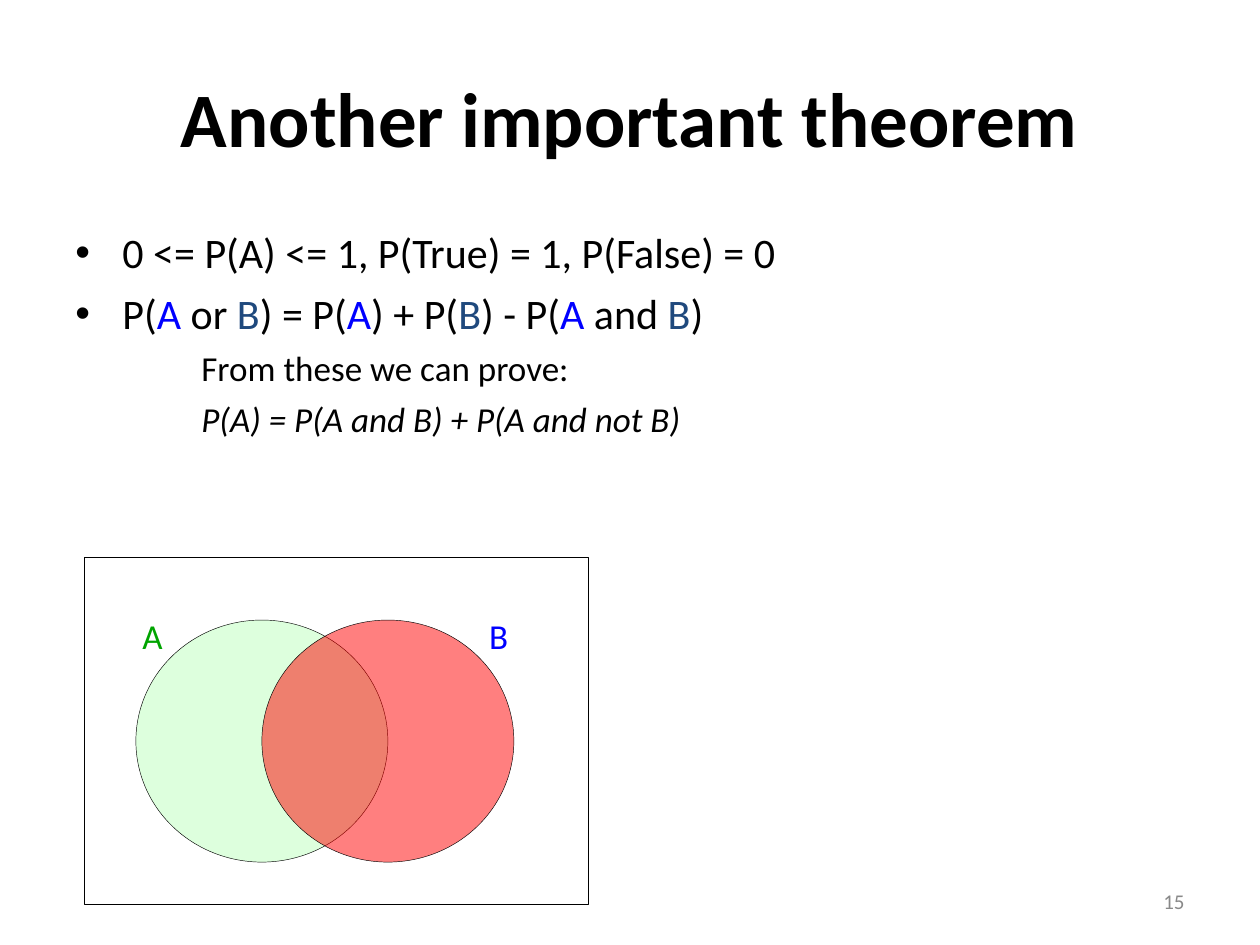
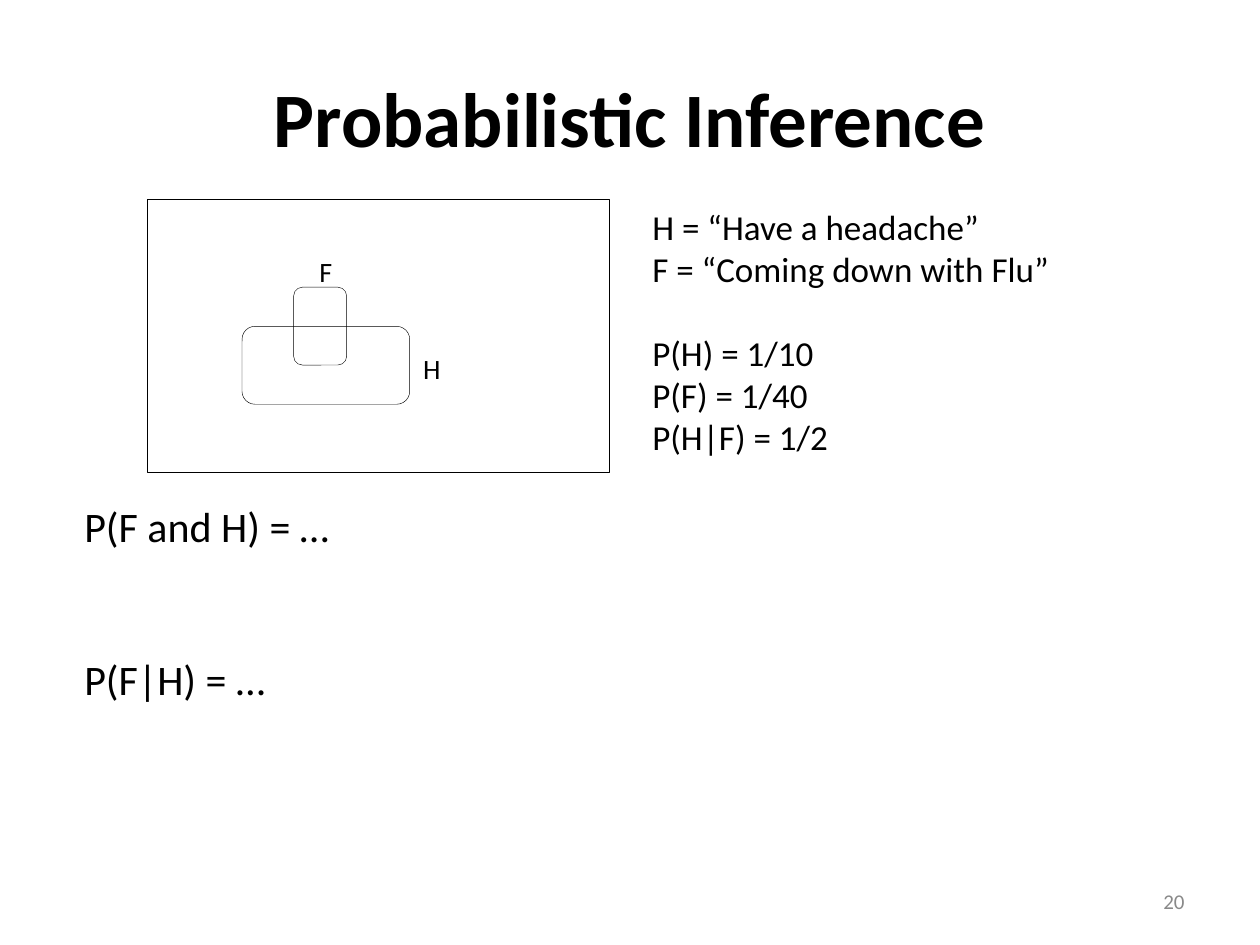
from lxml import etree
from pptx import Presentation
from pptx.dml.color import RGBColor as RGB
from pptx.enum.shapes import MSO_SHAPE as SHAPE
from pptx.enum.text import MSO_ANCHOR as ANCHOR, PP_ALIGN as ALIGN
from pptx.oxml.ns import qn
from pptx.util import Cm, Pt

FONT = "Calibri"
C = {"black": "000000", "grey": "898989", "blue": "0000FF", "navy": "1F497D",
     "green": "00A400", "mint": "BDFFBD", "red": "FF0000"}


def add_text(s, box, lines, size, color="black", align=ALIGN.LEFT, wrap=True):
    tf = s.shapes.add_textbox(*map(Cm, box)).text_frame
    tf.word_wrap = wrap
    for i, (text, gap) in enumerate(lines):
        p = tf.paragraphs[0] if i == 0 else tf.add_paragraph()
        p.text = text
        p.alignment = align
        if gap:
            p.space_before = Pt(gap)
        p.font.name, p.font.size = FONT, Pt(size)
        p.font.color.rgb = RGB.from_string(C[color])
    return tf


def add_outline(s, kind, box, fill=None):
    sp = s.shapes.add_shape(kind, *map(Cm, box))
    sp.shadow.inherit = False
    sp.line.color.rgb = RGB.from_string(C["black"])
    sp.line.width = Pt(0.25)
    if fill:
        sp.fill.solid()
        sp.fill.fore_color.rgb = RGB.from_string(C[fill])
        clr = sp.fill._xPr.find(qn("a:solidFill"))[0]
        etree.SubElement(clr, qn("a:alpha")).set("val", "50000")
    else:
        sp.fill.background()
    return sp


prs = Presentation()
prs.slide_width, prs.slide_height = Cm(25.4), Cm(19.05)

slides = []
for title, number in [("Another important theorem", "15"), ("Probabilistic Inference", "20")]:
    s = prs.slides.add_slide(prs.slide_layouts[5])
    sp = s.shapes.title
    sp.left, sp.top, sp.width, sp.height = Cm(1.27), Cm(0.76), Cm(22.86), Cm(3.18)
    tf = sp.text_frame
    tf.text = title
    tf.vertical_anchor = ANCHOR.MIDDLE
    p = tf.paragraphs[0]
    p.alignment = ALIGN.CENTER
    p.font.name, p.font.size, p.font.bold = FONT, Pt(44), True
    p.font.color.rgb = RGB.from_string(C["black"])
    tf = add_text(s, (18.21, 17.65, 5.92, 1.02), [(number, 0)], 12, "grey", ALIGN.RIGHT)
    tf.vertical_anchor = ANCHOR.MIDDLE
    slides.append(s)
theorem, inference = slides

A, B = ("A", "blue"), ("B", "navy")
axioms = [
    [("0 <= P(A) <= 1, P(True) = 1, P(False) = 0", None)],
    [("P(", None), A, (" or ", None), B, (") = P(", None), A, (") + P(", None), B,
     (") - P(", None), A, (" and ", None), B, (")", None)],
]
proof = [("From these we can prove:", False), ("P(A) = P(A and B) + P(A and not B)", True)]

tf = add_text(theorem, (1.27, 4.45, 22.86, 12.57), [("", 0), ("", 6)], 24)
for p, runs in zip(tf.paragraphs, axioms):
    pPr = p._p.get_or_add_pPr()
    pPr.set("marL", str(Cm(0.95)))
    pPr.set("indent", str(Cm(-0.95)))
    bullet = etree.Element(qn("a:buChar"), char="•")
    font = etree.Element(qn("a:buFont"), typeface="Arial")
    pPr.find(qn("a:defRPr")).addprevious(font)
    font.addnext(bullet)
    for text, color in runs:
        r = p.add_run()
        r.text = text
        if color:
            r.font.color.rgb = RGB.from_string(C[color])
for text, italic in proof:
    p = tf.add_paragraph()
    p.text = text
    p.level = 2
    p.space_before = Pt(5)
    p._p.get_or_add_pPr().set("marL", str(Cm(2.54)))
    p.font.name, p.font.size, p.font.italic = FONT, Pt(20), italic
    p.font.color.rgb = RGB.from_string(C["black"])

for i, fill in enumerate(["mint", "red"]):
    add_outline(theorem, SHAPE.OVAL, (2.74 + 2.54 * i, 12.5, 5.08, 4.88), fill)
add_outline(theorem, SHAPE.RECTANGLE, (1.7, 11.23, 10.16, 6.99))
for text, x, color in [("A", 2.34, "green"), ("B", 9.32, "blue")]:
    add_text(theorem, (x, 12.27, 1.47, 1.12), [(text, 0)], 20, color, ALIGN.CENTER)

add_outline(inference, SHAPE.RECTANGLE, (2.97, 4.01, 9.32, 5.51))
for box in [(4.88, 6.58, 3.38, 1.57), (5.92, 5.79, 1.07, 1.57)]:
    add_outline(inference, SHAPE.ROUNDED_RECTANGLE, box)
for text, x, y in [("F", 6.17, 5.0), ("H", 8.28, 6.96)]:
    add_text(inference, (x, y, 0.8, 0.94), [(text, 0)], 16, align=ALIGN.CENTER, wrap=False)

facts = [("H = “Have a headache”", 0), ("F = “Coming down with Flu”", 0),
         ("P(H) = 1/10", 24.4), ("P(F) = 1/40", 0), ("P(H|F) = 1/2", 0)]
add_text(inference, (12.9, 4.01, 9.32, 5.33), facts, 20)
questions = [("P(F and H) = …", 0), ("P(F|H) = …", 58.6)]
add_text(inference, (1.45, 9.96, 23.37, 4.32), questions, 24)

prs.save("out.pptx")
